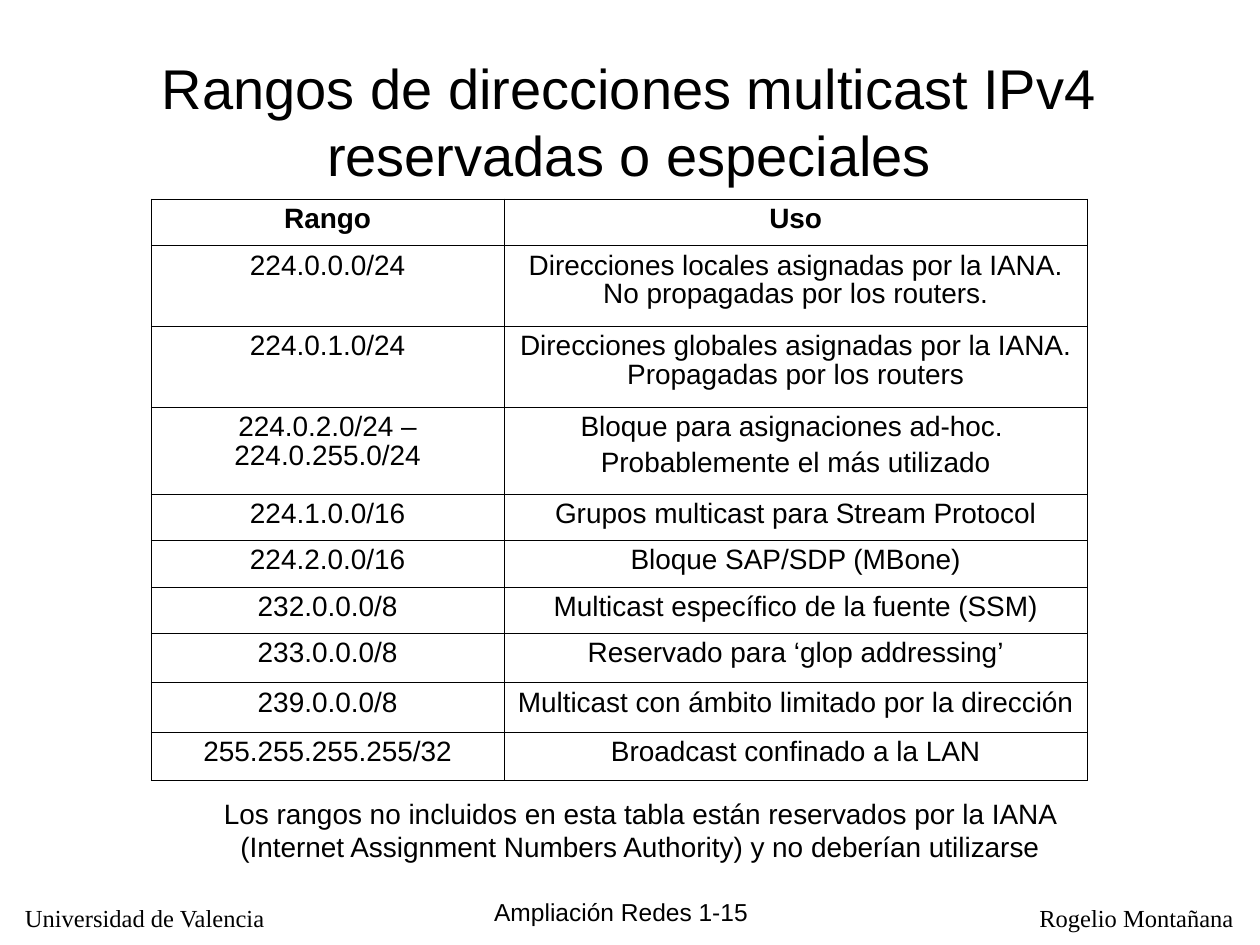
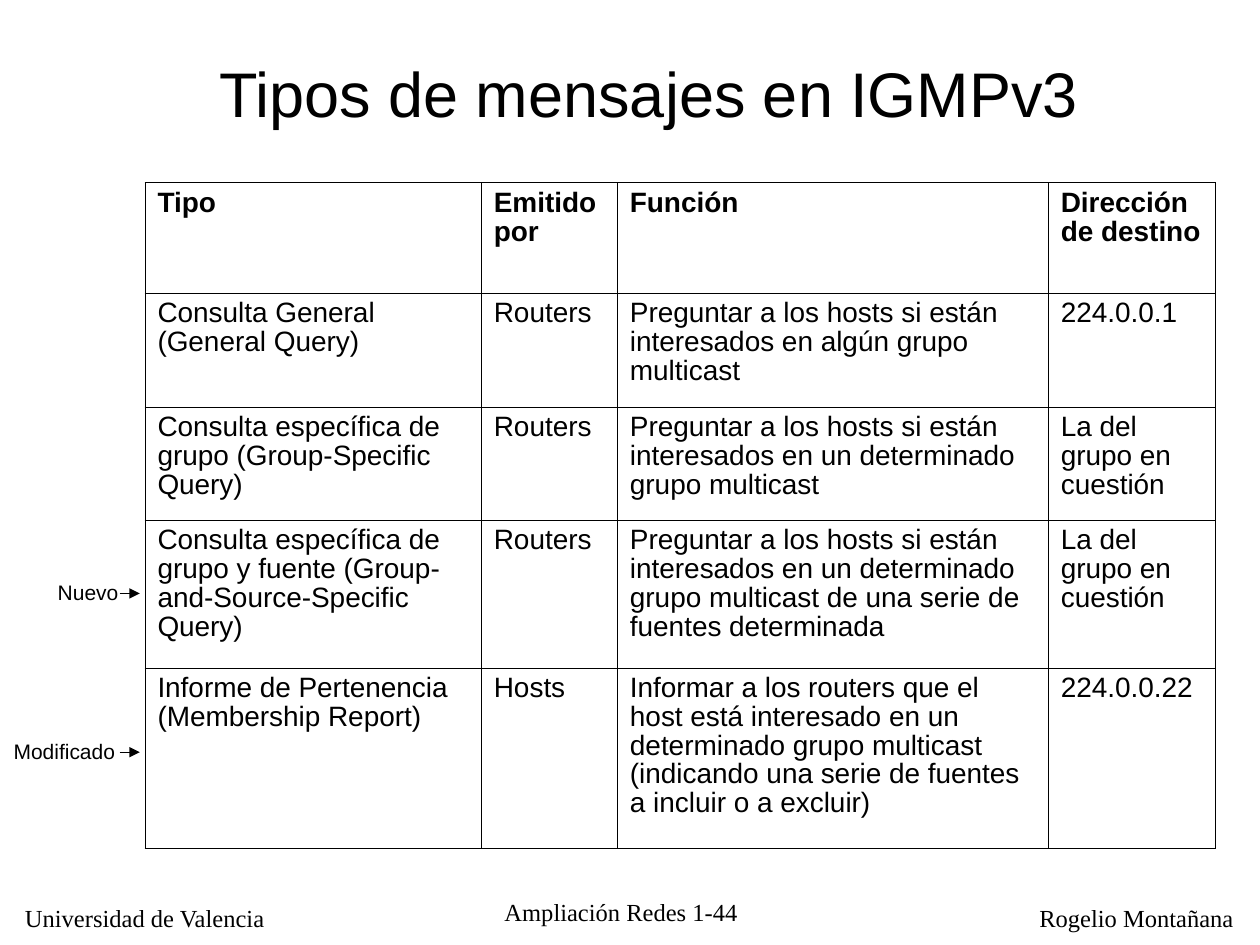
from lxml.etree import SubElement
from pptx import Presentation
from pptx.dml.color import RGBColor
from pptx.enum.shapes import MSO_CONNECTOR
from pptx.enum.text import MSO_ANCHOR, MSO_AUTO_SIZE, PP_ALIGN
from pptx.oxml.ns import qn
from pptx.util import Inches, Pt

BLACK = RGBColor(0x00, 0x00, 0x00)
SANS, SERIF = "Arial", "Times New Roman"
OUTER, INNER = 0.5, 0.23  # table rule widths in points

RANGES = [
    ["Rango", "Uso"],
    ["224.0.0.0/24", "Direcciones locales asignadas por la IANA. "
     "No propagadas por los routers."],
    ["224.0.1.0/24", "Direcciones globales asignadas por la IANA. "
     "Propagadas por los routers"],
    ["224.0.2.0/24 – 224.0.255.0/24",
     "Bloque para asignaciones ad-hoc. \nProbablemente el más utilizado"],
    ["224.1.0.0/16", "Grupos multicast para Stream Protocol"],
    ["224.2.0.0/16", "Bloque SAP/SDP (MBone)"],
    ["232.0.0.0/8", "Multicast específico de la fuente (SSM)"],
    ["233.0.0.0/8", "Reservado para ‘glop addressing’"],
    ["239.0.0.0/8", "Multicast con ámbito limitado por la dirección"],
    ["255.255.255.255/32", "Broadcast confinado a la LAN"],
]
NOTE = ("Los rangos no incluidos en esta tabla están reservados por la IANA "
        "(Internet Assignment Numbers Authority) y no deberían utilizarse")

ASK = "Preguntar a los hosts si están interesados en "
GROUP = "La del grupo en cuestión"
TYPES = [
    ["Tipo", "Emitido por", "Función", "Dirección de destino"],
    ["Consulta General (General Query)", "Routers",
     ASK + "algún grupo multicast", "224.0.0.1"],
    ["Consulta específica de grupo (Group-Specific Query)", "Routers",
     ASK + "un determinado grupo multicast", GROUP],
    ["Consulta específica de grupo y fuente "
     "(Group-and-Source-Specific Query)", "Routers",
     ASK + "un determinado grupo multicast de una serie de fuentes "
     "determinada", GROUP],
    ["Informe de Pertenencia (Membership Report)", "Hosts",
     "Informar a los routers que el host está interesado en un determinado "
     "grupo multicast (indicando una serie de fuentes a incluir o a excluir)",
     "224.0.0.22"],
]


def add_run(para, text, size, face=SANS, bold=False):
    run = para.add_run()
    run.text = text
    font = run.font
    font.size, font.name, font.bold = Pt(size), face, bold
    font.color.rgb = BLACK


def add_text(slide, box, text, size, face=SANS, align=PP_ALIGN.LEFT,
             wrap=True):
    frame = slide.shapes.add_textbox(*map(Inches, box)).text_frame
    frame.word_wrap = wrap
    if not wrap:
        frame.auto_size = MSO_AUTO_SIZE.SHAPE_TO_FIT_TEXT
    para = frame.paragraphs[0]
    para.alignment = align
    add_run(para, text, size, face)


def add_title(slide, box, lines, size):
    title = slide.shapes.title
    title.left, title.top, title.width, title.height = map(Inches, box)
    frame = title.text_frame
    frame.margin_left = frame.margin_right = 0
    frame.margin_top = frame.margin_bottom = 0
    frame.word_wrap = True
    frame.auto_size = MSO_AUTO_SIZE.NONE
    frame.vertical_anchor = MSO_ANCHOR.MIDDLE
    para = frame.paragraphs[0]
    para.alignment = PP_ALIGN.CENTER
    for i, line in enumerate(lines):
        if i:
            para.add_line_break()
        add_run(para, line, size)


def add_footer(slide, page, face):
    add_text(slide, (0.1, 7.12, 2.13, 0.34), "Universidad de Valencia", 14,
             SERIF, wrap=False)
    add_text(slide, (8.15, 7.12, 1.74, 0.34), "Rogelio Montañana", 14,
             SERIF, wrap=False)
    add_text(slide, (3.76, 7.07, 2.34, 0.3), f"Ampliación Redes 1-{page}", 14,
             face, PP_ALIGN.CENTER)


def rule_cell(cell, edges):
    """Draw the four borders; edges tells which lie on the table's rim."""
    props = cell._tc.get_or_add_tcPr()
    for side, rim in edges.items():
        line = SubElement(props, qn(f"a:ln{side}"),
                          w=str(Pt(OUTER if rim else INNER)))
        fill = SubElement(line, qn("a:solidFill"))
        SubElement(fill, qn("a:srgbClr"), val=str(BLACK))
    cell.fill.background()


def add_grid(slide, left, top, widths, heights, rows, align):
    box = map(Inches, (left, top, sum(widths), sum(heights)))
    table = slide.shapes.add_table(len(rows), len(widths), *box).table
    table.first_row = table.horz_banding = False
    for col, width in zip(table.columns, widths):
        col.width = Inches(width)
    for row, height in zip(table.rows, heights):
        row.height = Inches(height)
    for r, row in enumerate(rows):
        for c, text in enumerate(row):
            cell = table.cell(r, c)
            rule_cell(cell, {"L": c == 0, "R": c == len(widths) - 1,
                             "T": r == 0, "B": r == len(rows) - 1})
            cell.margin_left = cell.margin_right = Inches(0.1)
            cell.margin_top = cell.margin_bottom = Inches(0.05)
            frame = cell.text_frame
            for i, part in enumerate(text.split("\n")):
                para = frame.add_paragraph() if i else frame.paragraphs[0]
                para.alignment = align
                para.line_spacing, para.space_before = 0.93, Pt(4)
                add_run(para, part, 16, bold=r == 0)


def add_mark(slide, left, top, width, text, edge):
    """Place a label whose arrow points at the table's left edge."""
    add_text(slide, (left, top, width, 0.3), text, 12, wrap=False)
    tip, mid = edge - 0.04, top + 0.16
    arrow = slide.shapes.add_connector(
        MSO_CONNECTOR.STRAIGHT, *map(Inches, (tip - 0.16, mid, tip, mid)))
    arrow.line.color.rgb = BLACK
    arrow.line.width = Pt(0.75)
    SubElement(arrow.line._get_or_add_ln(), qn("a:tailEnd"), type="triangle")
    SubElement(arrow._element.spPr, qn("a:effectLst"))


def build_ranges(slide):
    add_footer(slide, 15, SANS)
    add_title(slide, (0.98, 0.33, 8.03, 1.25),
              ["Rangos de direcciones multicast IPv4",
               "reservadas o especiales"], 32)
    heights = [0.37, 0.64, 0.64, 0.69] + [0.37] * 3 + [0.39] * 3
    add_grid(slide, 1.2, 1.58, [2.8, 4.63], heights, RANGES, PP_ALIGN.CENTER)
    add_text(slide, (1.3, 6.27, 7.56, 0.64), NOTE, 16, align=PP_ALIGN.CENTER)


def build_types(slide):
    add_footer(slide, 44, SERIF)
    add_title(slide, (0.9, 0.36, 8.5, 0.75),
              ["Tipos de mensajes en IGMPv3"], 36)
    left = 1.15
    add_grid(slide, left, 1.45, [2.67, 1.08, 3.42, 1.33],
             [0.88, 0.9, 0.9, 1.17, 1.43], TYPES, PP_ALIGN.LEFT)
    # Labels for the message types that changed
    add_mark(slide, 0.36, 4.55, 0.68, "Nuevo", left)
    add_mark(slide, 0.01, 5.81, 1.02, "Modificado", left)


def main():
    deck = Presentation()
    deck.slide_width, deck.slide_height = Inches(10), Inches(7.5)
    layout = deck.slide_layouts.get_by_name("Title Only")
    for build in (build_ranges, build_types):
        build(deck.slides.add_slide(layout))
    deck.save("out.pptx")


if __name__ == "__main__":
    main()
